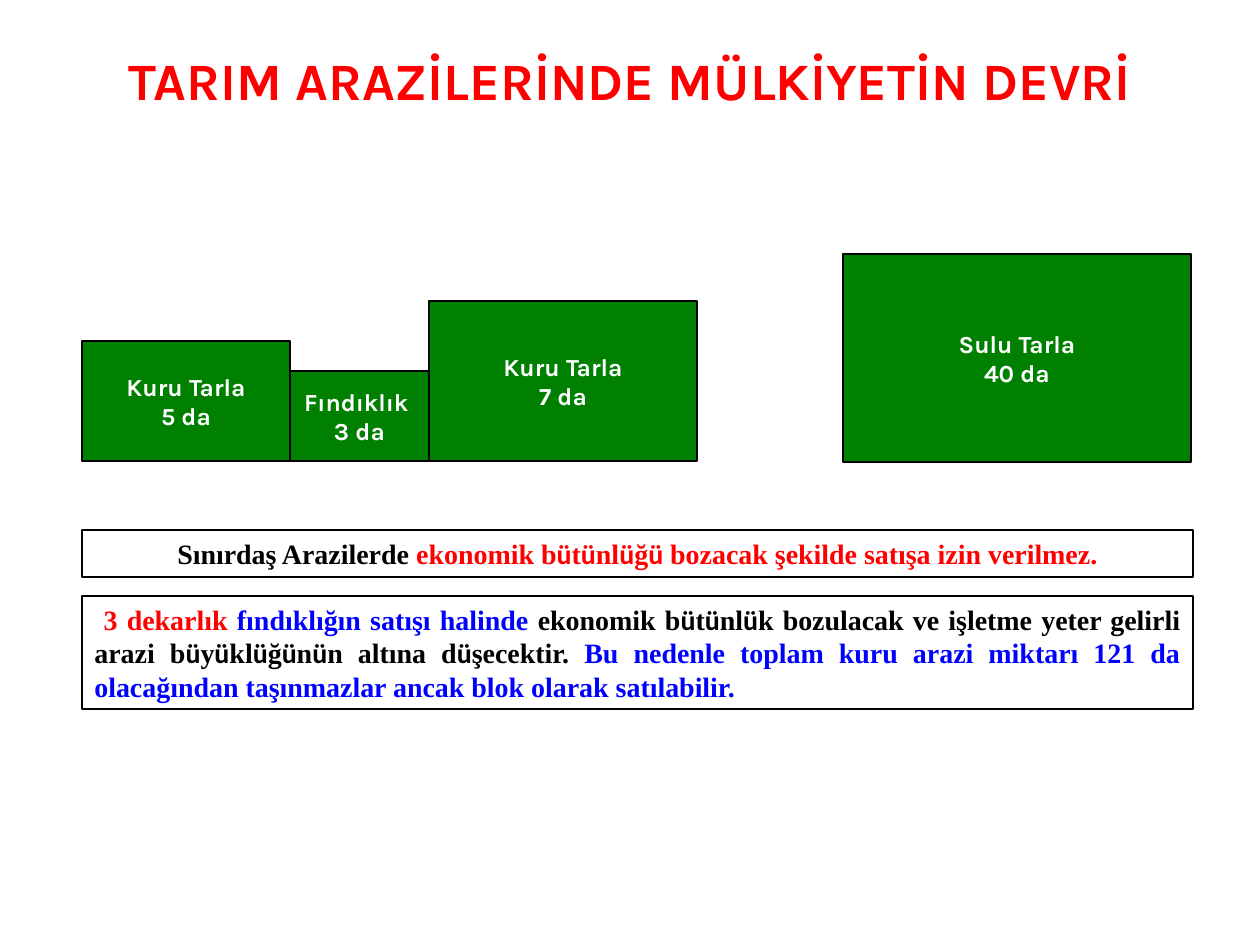
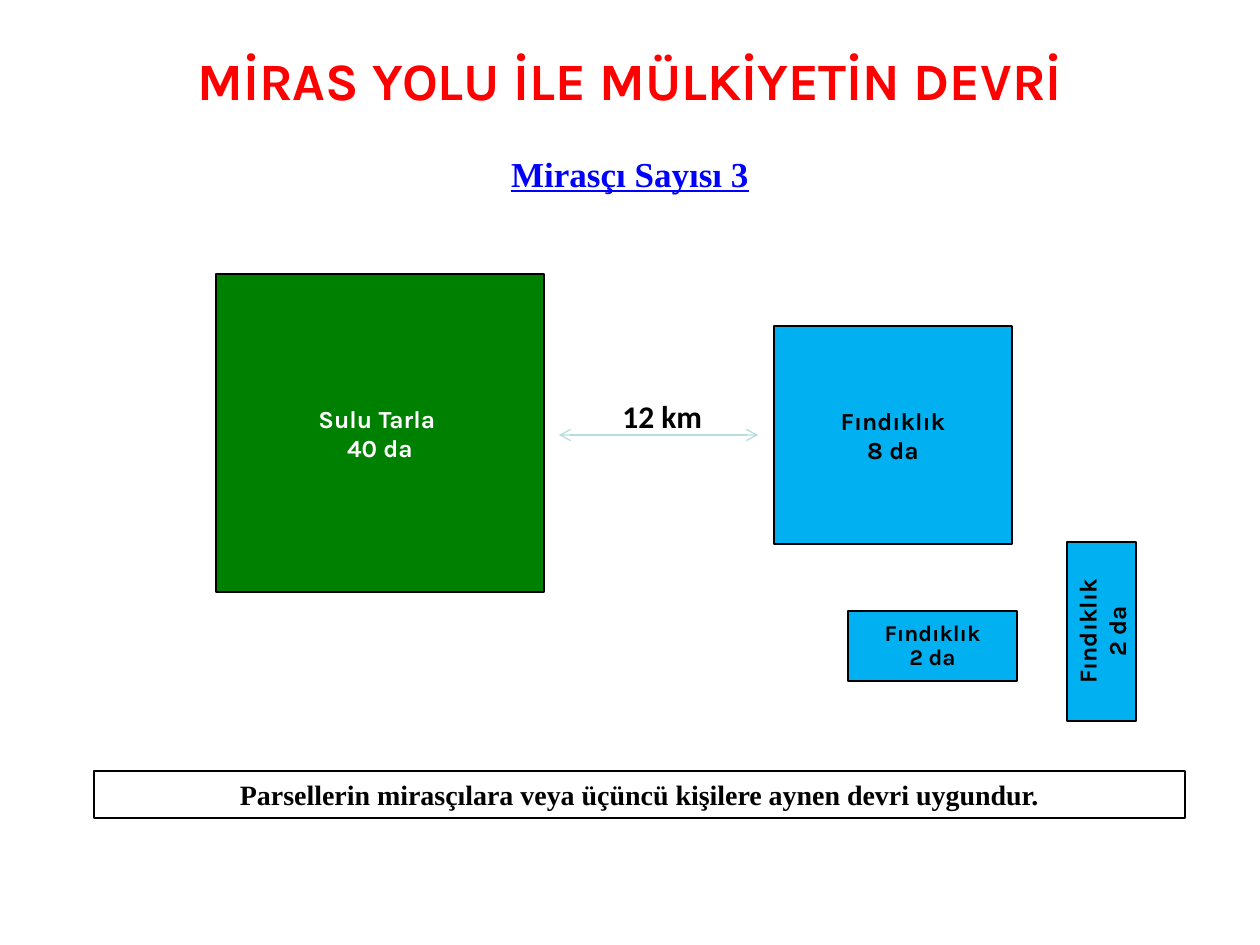
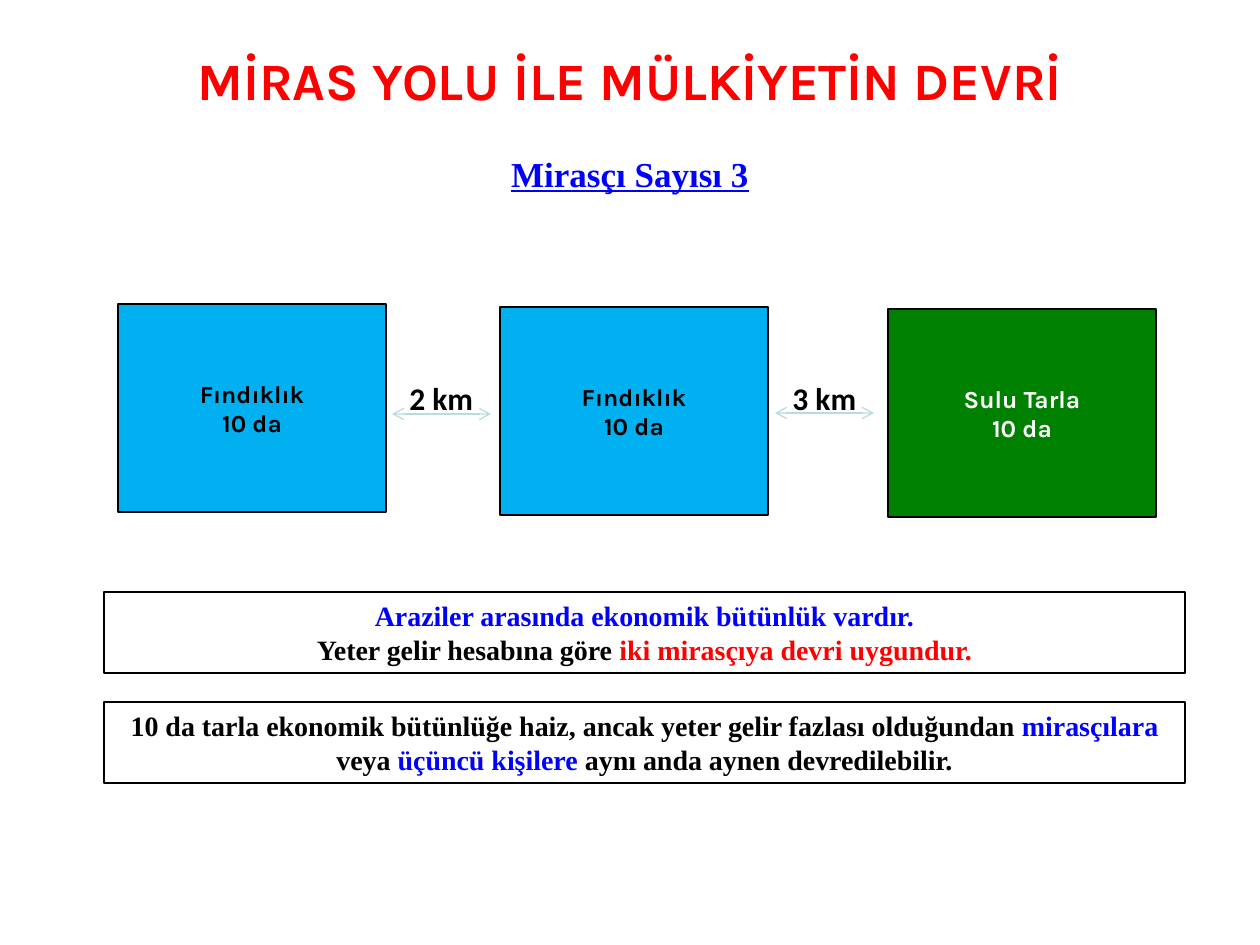
from itertools import groupby

from pptx import Presentation
from pptx import util as u
from pptx.dml.color import RGBColor
from pptx.enum import shapes, text
from pptx.oxml.ns import qn
from lxml import etree

SCALE = 914400 / 126  # EMU in one px
COLORS = {
    "red": "FF0000",
    "blue": "0000FF",
    "black": "000000",
    "white": "FFFFFF",
    "field": "008000",
    "orchard": "00B0F0",
    "arrow": "B6DCDF",
}
PLOT_TEXT = {"field": "white", "orchard": "black"}
HEAD, BODY, LABEL = "Karla", "Times New Roman", "Calibri"
CENTER, JUSTIFY = text.PP_ALIGN.CENTER, text.PP_ALIGN.JUSTIFY


def px(*values):
    return [u.Emu(round(v * SCALE)) for v in values]


def rgb(name):
    return RGBColor.from_string(COLORS[name])


class Deck:
    def __init__(self):
        self.prs = Presentation()
        self.prs.slide_width, self.prs.slide_height = px(1260, 945)
        self.slide = None

    def style(self, r, font, size, color):
        r.font.name, r.font.size, r.font.bold = font, u.Pt(size), True
        r.font.color.rgb = rgb(color)

    def set_lines(self, tf, lines, font, size, color, align=CENTER,
                  anchor=text.MSO_ANCHOR.MIDDLE):
        tf.word_wrap = True
        tf.vertical_anchor = anchor
        tf.text = "\n".join(lines)
        for p in tf.paragraphs:
            p.alignment = align
            for r in p.runs:
                self.style(r, font, size, color)

    def new_slide(self, title):
        self.slide = self.prs.slides.add_slide(self.prs.slide_layouts[5])
        sp = self.slide.shapes.title
        sp.left, sp.top, sp.width, sp.height = px(0, 45, 1260, 69)
        self.set_lines(sp.text_frame, [title], HEAD, 30, "red")
        sp.text_frame.auto_size = text.MSO_AUTO_SIZE.NONE

    def text_box(self, box, line, font, size, color, align):
        tf = self.slide.shapes.add_textbox(*px(*box)).text_frame
        self.set_lines(tf, [line], font, size, color, align,
                       text.MSO_ANCHOR.TOP)
        return tf

    def subtitle(self, line):
        tf = self.text_box((0, 146, 1260, 55), line, BODY, 20, "blue", CENTER)
        tf.paragraphs[0].runs[0].font.underline = True

    def rect(self, box, line_width):
        sp = self.slide.shapes.add_shape(shapes.MSO_SHAPE.RECTANGLE, *px(*box))
        sp.shadow.inherit = False
        sp.fill.background()
        sp.line.color.rgb = rgb("black")
        sp.line.width = u.Pt(line_width)
        return sp

    def plot(self, box, kind, lines, size=14, spacing=None, upright=False):
        """Draw a parcel of land; upright text reads from bottom to top."""
        sp = self.rect(box, 1)
        sp.fill.solid()
        sp.fill.fore_color.rgb = rgb(kind)
        tf = sp.text_frame
        self.set_lines(tf, lines, HEAD, size, PLOT_TEXT[kind])
        for p in tf.paragraphs:
            p.line_spacing = spacing
        if upright:
            tf.margin_left = tf.margin_right = u.Inches(0.05)
            tf.margin_top = tf.margin_bottom = u.Inches(0.1)
            sp.element.txBody.find(qn("a:bodyPr")).set("vert", "vert270")

    def note(self, box, *lines, align=CENTER, umlaut_font=BODY):
        """Draw a framed note; each line is a list of (text, colour) parts."""
        tf = self.rect(box, 0.75).text_frame
        self.set_lines(tf, [""] * len(lines), BODY, 16, "black", align)
        for p, parts in zip(tf.paragraphs, lines):
            for part, color in parts:
                if umlaut_font == BODY:
                    pieces = [(False, part)]
                else:
                    pieces = groupby(part, lambda ch: ch == "ü")
                for is_umlaut, piece in pieces:
                    r = p.add_run()
                    r.text = "".join(piece)
                    font = umlaut_font if is_umlaut else BODY
                    self.style(r, font, 16, color)

    def distance(self, x1, x2, y, label, label_box):
        """Draw a two-headed arrow and the distance above it."""
        line = self.slide.shapes.add_connector(
            shapes.MSO_CONNECTOR.STRAIGHT, *px(x1, y, x2, y))
        line.line.color.rgb = rgb("arrow")
        line.line.width = u.Pt(0.75)
        props = line.element.spPr
        for end in ("a:headEnd", "a:tailEnd"):
            etree.SubElement(props.find(qn("a:ln")), qn(end), type="arrow")
        etree.SubElement(props, qn("a:effectLst"))
        self.text_box(label_box, label, LABEL, 18, "black", text.PP_ALIGN.LEFT)


def sale_slide(deck):
    deck.new_slide("TARIM ARAZİLERİNDE MÜLKİYETİN DEVRİ")
    left, base = 82, 461
    for width, height, lines in (
        (208, 120, ("Kuru Tarla", "5 da")),
        (139, 90, ("Fındıklık ", "3 da")),
        (268, 160, ("Kuru Tarla", "7 da")),
    ):
        deck.plot((left, base - height, width, height), "field", lines)
        left += width
    deck.plot((843, 254, 348, 208), "field", ("Sulu Tarla", "40 da"))
    deck.note(
        (82, 530, 1111, 47),
        [("Sınırdaş Arazilerde ", "black"),
         ("ekonomik bütünlüğü bozacak şekilde satışa izin verilmez.", "red")],
        umlaut_font=LABEL)
    deck.note(
        (82, 596, 1111, 113),
        [(" ", "black"), ("3 dekarlık ", "red"),
         ("fındıklığın satışı halinde ", "blue"),
         ("ekonomik bütünlük bozulacak ve işletme yeter gelirli arazi "
          "büyüklüğünün altına düşecektir. ", "black"),
         ("Bu nedenle toplam kuru arazi miktarı 121 da olacağından "
          "taşınmazlar ancak blok olarak satılabilir.", "blue")],
        align=JUSTIFY, umlaut_font=LABEL)


def inheritance_slide(deck):
    deck.new_slide("MİRAS YOLU İLE MÜLKİYETİN DEVRİ")
    deck.subtitle("Mirasçı Sayısı 3")


def far_plots_slide(deck):
    inheritance_slide(deck)
    deck.plot((216, 274, 328, 318), "field", ("Sulu Tarla ", "40 da"))
    deck.plot((774, 326, 238, 218), "orchard", ("Fındıklık", "8 da"))
    deck.distance(559, 758, 435, "12 km", (610, 391, 120, 50))
    deck.note(
        (94, 771, 1091, 47),
        [("Parsellerin mirasçılara veya üçüncü kişilere aynen devri "
          "uygundur.", "black")])
    small = ("Fındıklık", "2 da")
    deck.plot((848, 611, 169, 70), "orchard", small, size=12.9, spacing=0.9)
    deck.plot((1067, 542, 69, 179), "orchard", small, upright=True)


def near_plots_slide(deck):
    inheritance_slide(deck)
    for x, y, kind, name in (
        (118, 304, "orchard", "Fındıklık"),
        (500, 307, "orchard", "Fındıklık"),
        (888, 309, "field", "Sulu Tarla"),
    ):
        deck.plot((x, y, 268, 208), kind, (name, "10 da"))
    for x, y, label in ((392, 414, "2 km"), (775, 413, "3 km")):
        deck.distance(x, x + 99, y, label, (x + 5, 373, 100, 50))
    deck.note(
        (104, 592, 1081, 81),
        [("Araziler arasında ekonomik bütünlük vardır.", "blue")],
        [("Yeter gelir hesabına göre ", "black"),
         ("iki mirasçıya devri uygundur.", "red")])
    deck.note(
        (104, 702, 1081, 81),
        [("10 da tarla ekonomik bütünlüğe haiz, ancak yeter gelir fazlası "
          "olduğundan ", "black"),
         ("mirasçılara ", "blue"), ("veya ", "black"),
         ("üçüncü kişilere ", "blue"),
         ("aynı anda aynen devredilebilir.", "black")])


def main():
    deck = Deck()
    sale_slide(deck)
    far_plots_slide(deck)
    near_plots_slide(deck)
    deck.prs.save("out.pptx")


if __name__ == "__main__":
    main()
